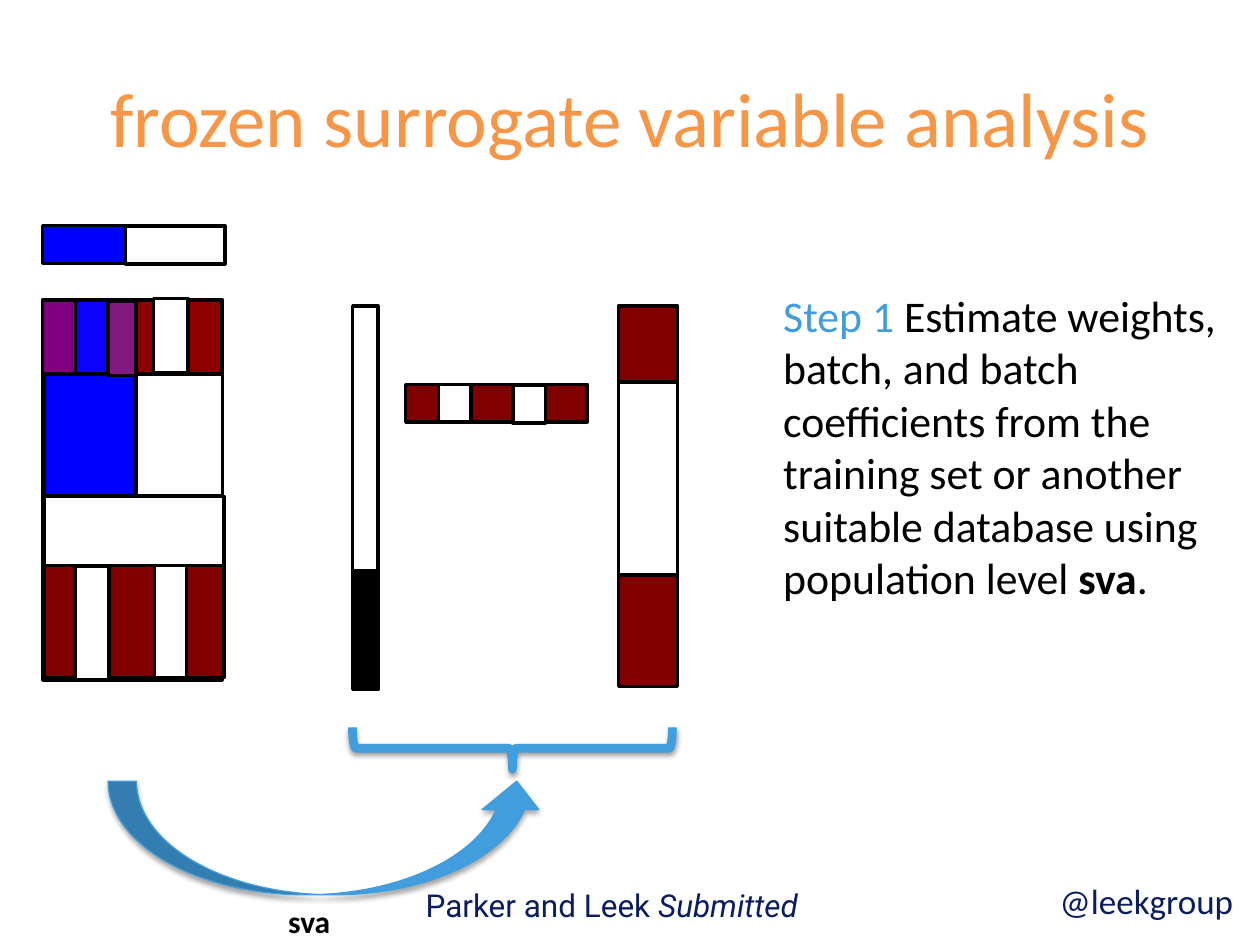
from lxml.etree import SubElement
from pptx import Presentation
from pptx.dml.color import RGBColor
from pptx.enum.shapes import MSO_SHAPE as Preset
from pptx.enum.text import MSO_ANCHOR as Anchor, PP_ALIGN as Align
from pptx.oxml.ns import qn
from pptx.util import Cm, Pt

COLORS = {
    "title": "F79646", "accent": "429DDE", "navy": "0A1E5F",
    "black": "000000", "white": "FFFFFF", "maroon": "800000",
    "dark red": "8E0000", "purple": "800080", "plum": "811980",
    "blue": "0000FF", "violet blue": "0C00FF",
}


def write(paragraph, text, size=18, color="black", font="Calibri", bold=False, italic=False):
    run = paragraph.add_run()
    run.text = text
    run.font.name = font
    run.font.size = Pt(size)
    run.font.bold = bold
    run.font.italic = italic
    run.font.color.rgb = RGBColor.from_string(COLORS[color])


def add_shadow(shape, alpha, distance):
    effects = SubElement(shape.element.spPr, qn("a:effectLst"))
    outer = SubElement(effects, qn("a:outerShdw"), blurRad=str(Pt(3.1)),
                       dist=str(Pt(distance)), dir="5400000", rotWithShape="0")
    black = SubElement(outer, qn("a:srgbClr"), val=COLORS["black"])
    SubElement(black, qn("a:alpha"), val=str(alpha * 1000))


prs = Presentation()
prs.slide_width, prs.slide_height = Cm(25.4), Cm(19.05)
slide = prs.slides.add_slide(prs.slide_layouts[5])
shapes = slide.shapes

title = shapes.title
title.left, title.top, title.width, title.height = Cm(1.27), Cm(0.76), Cm(22.86), Cm(3.18)
title.text_frame.vertical_anchor = Anchor.MIDDLE
heading = title.text_frame.paragraphs[0]
heading.alignment = Align.CENTER
write(heading, "frozen surrogate variable analysis", size=44, color="title")

data_matrix = [
    (0.86, 6.05, 3.63, 7.67, "purple"),
    (2.18, 6.05, 2.29, 1.5, "dark red"),
    (3.1, 6.02, 0.69, 1.5, "white"),
    (1.52, 6.05, 0.69, 1.5, "violet blue"),
    (0.89, 7.54, 1.83, 2.46, "blue"),
    (2.74, 7.54, 1.75, 2.46, "white"),
    (0.89, 10.01, 3.63, 1.4, "white"),
    (0.89, 11.4, 3.63, 2.26, "maroon"),
    (3.12, 11.4, 0.64, 2.26, "white"),
    (1.51, 11.42, 0.69, 2.29, "white"),
    (2.18, 6.07, 0.56, 1.5, "plum"),
]
outcome = [
    (0.86, 4.55, 3.66, 0.76, "blue"),
    (2.53, 4.56, 2.01, 0.76, "white"),
]
weights = [
    (7.11, 6.17, 0.51, 7.65, "white"),
    (7.11, 11.51, 0.51, 2.39, "black"),
]
batch = [
    (8.18, 7.75, 3.66, 0.76, "maroon"),
    (10.34, 7.77, 0.66, 0.76, "white"),
    (8.84, 7.75, 0.66, 0.76, "white"),
]
coefficients = [
    (12.47, 6.17, 1.19, 7.67, "maroon"),
    (12.47, 7.7, 1.19, 3.89, "white"),
]
for left, top, width, height, color in data_matrix + outcome + weights + batch + coefficients:
    block = shapes.add_shape(Preset.RECTANGLE, Cm(left), Cm(top), Cm(width), Cm(height))
    block.shadow.inherit = False
    block.fill.solid()
    block.fill.fore_color.rgb = RGBColor.from_string(COLORS[color])
    block.line.color.rgb = RGBColor.from_string(COLORS["black"])
    block.line.width = Pt(2)

accent = RGBColor.from_string(COLORS["accent"])
sva_arrow = shapes.add_shape(Preset.CURVED_DOWN_ARROW, Cm(2.18), Cm(15.75), Cm(8.81), Cm(2.29))
sva_arrow.element.spPr.find(qn("a:xfrm")).set("flipV", "1")
sva_arrow.fill.solid()
sva_arrow.fill.fore_color.rgb = accent
sva_arrow.line.color.rgb = accent
sva_arrow.line.width = Pt(0.75)
add_shadow(sva_arrow, alpha=35, distance=1.8)

estimates_brace = shapes.add_shape(Preset.RIGHT_BRACE, Cm(9.91), Cm(11.86), Cm(0.84), Cm(6.45))
estimates_brace.rotation = 90
estimates_brace.fill.background()
estimates_brace.line.color.rgb = accent
estimates_brace.line.width = Pt(5)
add_shadow(estimates_brace, alpha=38, distance=1.6)

step = dict(size=25)
navy = dict(font="Roboto", color="navy")
texts = [
    (15.54, 5.69, 9.86, 7.44, True, [
        [("Step 1 ", dict(step, color="accent")),
         ("Estimate weights, batch, and batch coefficients from the training set "
          "or another suitable database using", step)],
        [("population level ", step), ("sva", dict(step, bold=True)), (".", step)],
    ]),
    (5.56, 18.06, 1.57, 1.02, False, [[("sva", dict(bold=True))]]),
    (8.33, 17.73, 8.76, 1.02, True, [
        [("Parker and Leek ", navy), ("Submitted", dict(navy, italic=True))],
    ]),
    (21.11, 17.6, 4.06, 1.12, False, [[("@leekgroup", dict(size=20, color="navy"))]]),
]
for left, top, width, height, wraps, paragraphs in texts:
    frame = shapes.add_textbox(Cm(left), Cm(top), Cm(width), Cm(height)).text_frame
    frame.word_wrap = wraps
    for index, runs in enumerate(paragraphs):
        paragraph = frame.add_paragraph() if index else frame.paragraphs[0]
        for text, style in runs:
            write(paragraph, text, **style)

prs.save("out.pptx")
